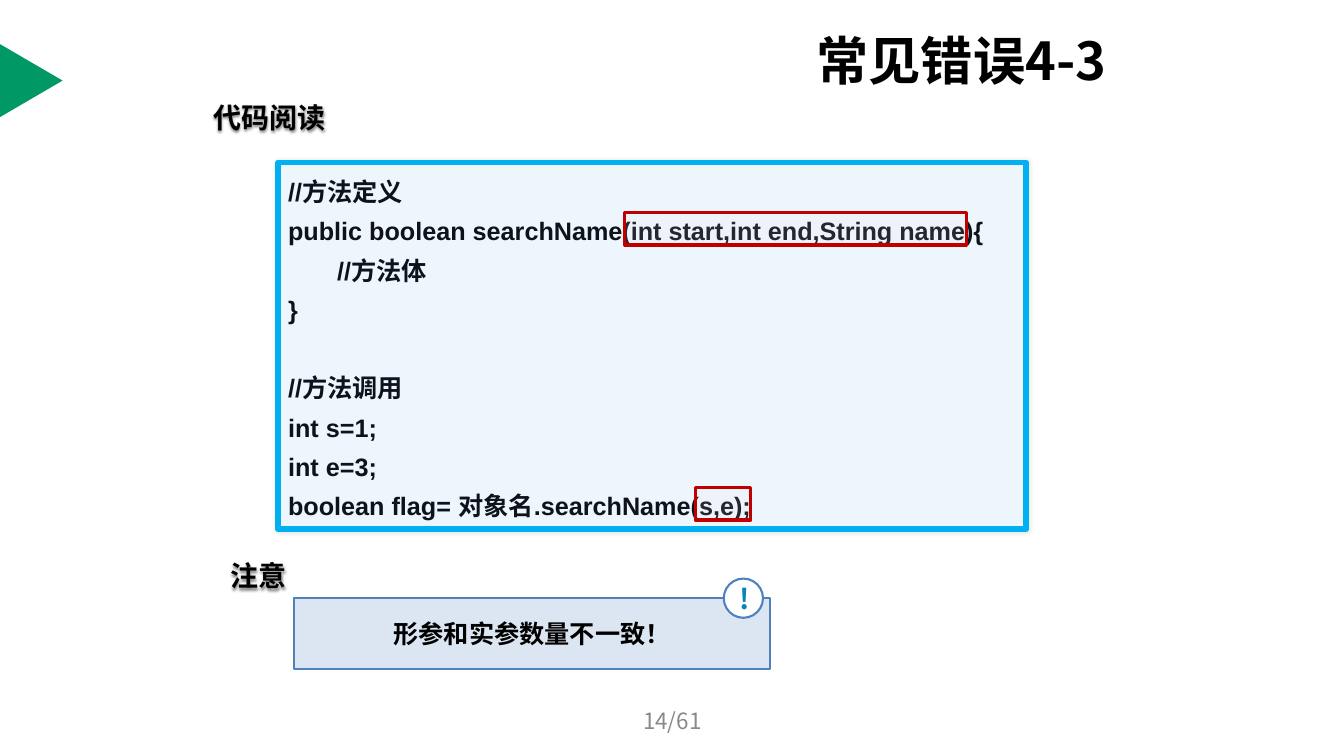
from lxml import etree
from pptx import Presentation
from pptx.dml.color import RGBColor
from pptx.enum.shapes import MSO_SHAPE
from pptx.enum.text import MSO_ANCHOR, PP_ALIGN
from pptx.oxml.ns import qn
from pptx.util import Pt

RECT, ROUND = MSO_SHAPE.RECTANGLE, MSO_SHAPE.ROUNDED_RECTANGLE
OVAL, TRIANGLE = MSO_SHAPE.OVAL, MSO_SHAPE.ISOSCELES_TRIANGLE
TOP, MIDDLE = MSO_ANCHOR.TOP, MSO_ANCHOR.MIDDLE
LEFT, CENTER = PP_ALIGN.LEFT, PP_ALIGN.CENTER
TITLE_ONLY = 5
CJK = "Noto Sans CJK SC"
CODE_LINES = [
    "//方法定义",
    "public boolean searchName(int start,int end,String name){",
    "\t//方法体",
    "}",
    "//方法调用",
    "int s=1;",
    "int e=3;",
    "boolean flag= 对象名.searchName(s,e);",
]
CALL_START = 4


def rgb(value):
    return RGBColor.from_string(value)


def add_xml(parent, tag, **attrs):
    return etree.SubElement(parent, qn(tag), attrs)


class SlideBuilder:
    def __init__(self, prs):
        self.slide = prs.slides.add_slide(prs.slide_layouts[TITLE_ONLY])

    def place(self, sp, box):
        sp.left, sp.top, sp.width, sp.height = map(Pt, box)

    def style(self, p, size, color="000000", bold=True, font=CJK, align=LEFT):
        p.alignment = align
        for r in p.runs:
            r.font.size, r.font.bold, r.font.name = Pt(size), bold, font
            r.font.color.rgb = rgb(color)
            add_xml(r.font._element, "a:ea", typeface=CJK)

    def fill_text(self, sp, text, size, anchor=MIDDLE, wrap=True, **style):
        tf = sp.text_frame
        tf.text, tf.word_wrap, tf.vertical_anchor = text, wrap, anchor
        self.style(tf.paragraphs[0], size, **style)

    def shadow(self, sp, blur, distance, alpha):
        sp_pr = sp._element.spPr
        effects = sp_pr.find(qn("a:effectLst"))
        if effects is None:
            effects = add_xml(sp_pr, "a:effectLst")
        outer = add_xml(effects, "a:outerShdw", blurRad=str(Pt(blur)),
                        dist=str(Pt(distance)), dir="5400000", algn="ctr", rotWithShape="0")
        color = add_xml(outer, "a:srgbClr", val="000000")
        add_xml(color, "a:alpha", val=str(alpha * 1000))

    def title(self, text, box):
        sp = self.slide.shapes.title
        self.place(sp, box)
        self.fill_text(sp, text, 37.3)

    def text(self, text, box, size, **style):
        sp = self.slide.shapes.add_textbox(*map(Pt, box))
        self.fill_text(sp, text, size, **style)
        return sp

    def heading(self, text, box):
        sp = self.text(text, box, 20, wrap=False)
        self.shadow(sp, 2, 1.5, 50)

    def shape(self, kind, box, fill, line=None, width=1.5, alpha=None):
        sp = self.slide.shapes.add_shape(kind, *map(Pt, box))
        sp.shadow.inherit = False
        sp.fill.solid()
        sp.fill.fore_color.rgb = rgb(fill)
        if alpha is not None:
            color = sp._element.spPr.find(qn("a:solidFill"))[0]
            add_xml(color, "a:alpha", val=str(alpha * 1000))
        if line:
            sp.line.color.rgb, sp.line.width = rgb(line), Pt(width)
        else:
            sp.line.fill.background()
        if kind == ROUND:
            sp.adjustments[0] = 0
        return sp

    def code(self, lines, box):
        sp = self.shape(ROUND, box, "EDF5FD", "00B0F0", 4)
        self.shadow(sp, 3, 0, 10)
        tf = sp.text_frame
        tf.word_wrap, tf.vertical_anchor = True, TOP
        for i, line in enumerate(lines):
            p = tf.paragraphs[0] if i == 0 else tf.add_paragraph()
            tabs = add_xml(p._p.get_or_add_pPr(), "a:tabLst")
            add_xml(tabs, "a:tab", pos=str(Pt(35)), algn="l")
            p.text, p.line_spacing = line, 1.3
            if i == CALL_START:
                p.space_before = Pt(28)
            self.style(p, 18, "0D121B", font="Arial")

    def highlight(self, box):
        self.shape(RECT, box, "FFDDDD", "C00000", 2.25, alpha=10)


def main():
    prs = Presentation()
    prs.slide_width, prs.slide_height = Pt(960), Pt(540)
    s = SlideBuilder(prs)

    # Title and side marker
    s.shape(TRIANGLE, (-3.6, 35.3, 52, 44.6), "009966").rotation = 90
    s.title("常见错误4-3", (576, 22.3, 250, 41))

    # Code with the mismatched parameter lists marked
    s.heading("代码阅读", (145.4, 67.7, 95.8, 31.7))
    s.code(CODE_LINES, (198.7, 116, 534.3, 262))
    s.highlight((446.4, 152, 244, 23))
    s.highlight((496.8, 348.5, 39.6, 23))

    # Warning
    s.heading("注意", (157.7, 395.3, 55.4, 31.7))
    note = s.shape(ROUND, (210.2, 427, 339.8, 51), "DCE6F2", "4F81BD")
    s.fill_text(note, "形参和实参数量不一致！", 18, align=CENTER)
    badge = s.shape(OVAL, (517, 413.3, 28, 28), "FFFFFF", "4F81BD")
    s.fill_text(badge, "!", 20, color="0C83B8", align=CENTER)

    # Page number
    s.text("14/61", (328.3, 500.4, 303.8, 28.8), 16,
           color="898989", bold=False, align=CENTER)

    prs.save("out.pptx")


if __name__ == "__main__":
    main()
